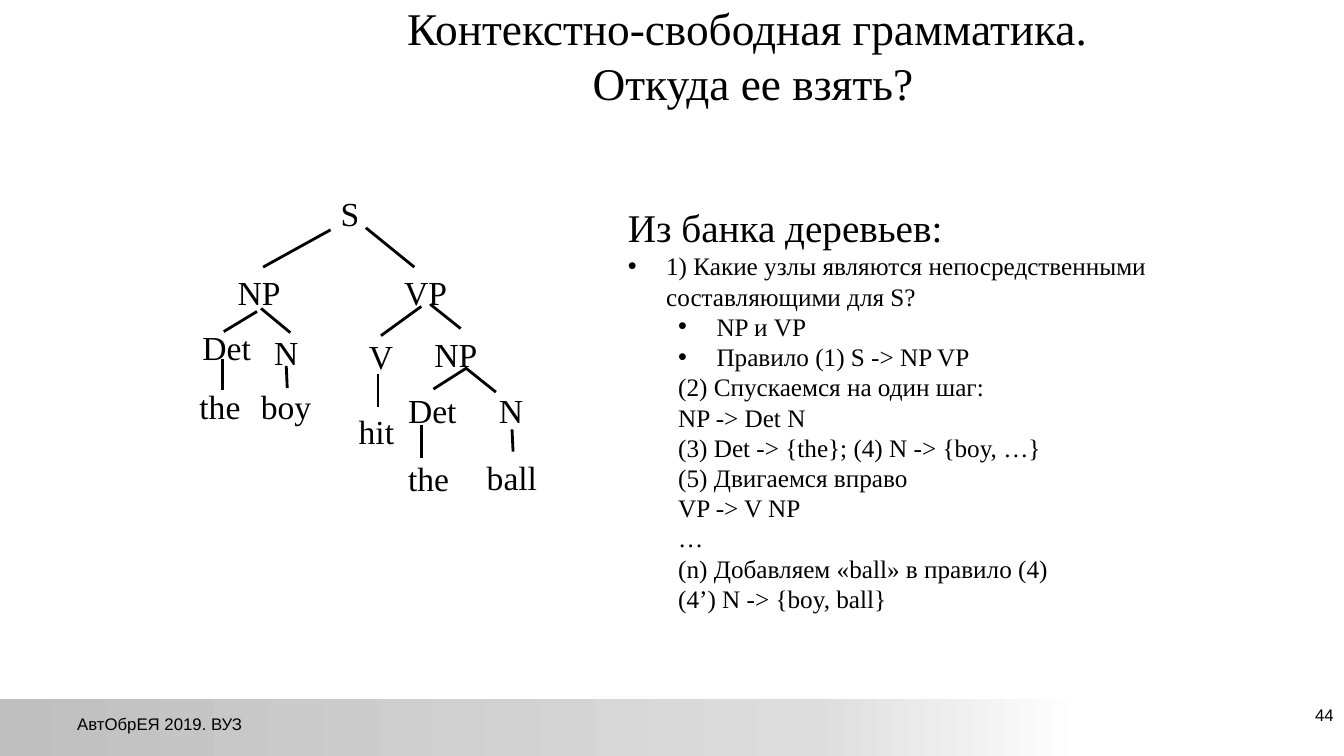
import pptx
import pptx.util
import pptx.dml.color
import pptx.enum.shapes
import pptx.enum.text
from lxml import etree
from pptx.oxml.ns import qn

BLACK = pptx.dml.color.RGBColor(0x00, 0x00, 0x00)
GREY = pptx.dml.color.RGBColor(0xBF, 0xBF, 0xBF)
WHITE = pptx.dml.color.RGBColor(0xFF, 0xFF, 0xFF)
SERIF, SANS = "Times New Roman", "Arial"
LEFT, CENTER, RIGHT = (pptx.enum.text.PP_ALIGN.LEFT, pptx.enum.text.PP_ALIGN.CENTER,
                       pptx.enum.text.PP_ALIGN.RIGHT)
TOP, MIDDLE = pptx.enum.text.MSO_ANCHOR.TOP, pptx.enum.text.MSO_ANCHOR.MIDDLE

deck = pptx.Presentation()
deck.slide_width = pptx.util.Inches(13.333)
deck.slide_height = pptx.util.Inches(7.5)
slide = deck.slides.add_slide(deck.slide_layouts[6])

# Grid of 40 columns and 30 rows
COL = deck.slide_width / 40
ROW = deck.slide_height / 30


def cells(col, row, *rest):
    """Turn alternating columns and rows into slide lengths."""
    return [int(n * (ROW if i % 2 else COL)) for i, n in enumerate((col, row) + rest)]


def write(box, text, size, font=SERIF, align=LEFT, anchor=TOP):
    """Add a text box in one style and return its text frame."""
    frame = slide.shapes.add_textbox(*cells(*box)).text_frame
    frame.word_wrap = True
    frame.vertical_anchor = anchor
    frame.text = text
    for paragraph in frame.paragraphs:
        paragraph.alignment = align
        for run in paragraph.runs:
            run.font.name = font
            run.font.size = pptx.util.Pt(size)
            run.font.color.rgb = BLACK
    return frame


# Footer band, fading to the right
band = slide.shapes.add_shape(pptx.enum.shapes.MSO_SHAPE.RECTANGLE,
                              *cells(-0.09, 27.72, 32.37, 2.32))
band.shadow.inherit = False
band.line.fill.background()
band.fill.gradient()
band.fill.gradient_angle = 0
first, last = band.fill.gradient_stops
first.color.rgb, first.position = GREY, 0
last.color.rgb, last.position = WHITE, 1
stops = band.fill._fill._gradFill.find(qn("a:gsLst"))
middle_stop = etree.Element(qn("a:gs"), pos="75000")
etree.SubElement(middle_stop, qn("a:srgbClr"), val="DDDDDD")
stops.insert(1, middle_stop)

# Title, footer and slide number
write((8.91, -0.32, 27, 5), "Контекстно-свободная грамматика. \vОткуда ее взять?", 32.4,
      align=CENTER, anchor=MIDDLE)
write((30.66, 27.32, 9.33, 2.08), "44", 12, SANS, RIGHT, MIDDLE)
write((0, 27.68, 9.51, 2.08), "АвтОбрЕЯ 2019. ВУЗ", 12, SANS, CENTER, MIDDLE)

# Steps of reading the grammar: text, level, left margin in inches, bullet
steps = [
    ("Из банка деревьев:", 0, 0, False),
    ("1) Какие узлы являются непосредственными составляющими для S?", 0, 0.38, True),
    ("NP и VP", 1, 0.88, True),
    ("Правило (1) S -> NP VP", 1, 0.88, True),
    ("(2) Спускаемся на один шаг:", 1, 0.5, False),
    ("NP -> Det N", 1, 0.5, False),
    ("(3) Det -> {the}; (4) N -> {boy, …}", 1, 0.5, False),
    ("(5) Двигаемся вправо", 1, 0.5, False),
    ("VP -> V NP", 1, 0.5, False),
    ("…", 1, 0.5, False),
    ("(n) Добавляем «ball» в правило (4)", 1, 0.5, False),
    ("(4’) N -> {boy, ball}", 1, 0.5, False),
]
derivation = write((18.39, 7.88, 16.83, 16.84), "\n".join(s[0] for s in steps), 18)
derivation.paragraphs[0].runs[0].font.size = pptx.util.Pt(28)
for paragraph, (_, level, margin, bulleted) in zip(derivation.paragraphs, steps):
    paragraph.level = level
    properties = paragraph._p.get_or_add_pPr()
    properties.set("marL", str(pptx.util.Inches(margin)))
    properties.set("indent", str(pptx.util.Inches(-0.38 if bulleted else 0)))
    if bulleted:
        etree.SubElement(properties, qn("a:buFont"), typeface=SANS)
        etree.SubElement(properties, qn("a:buChar"), char="•")
    else:
        etree.SubElement(properties, qn("a:buNone"))

# Parse tree nodes: label, column, row, width in columns
nodes = [
    ("S", 9.84, 7.44, 1.41),
    ("NP", 6.78, 10.6, 2.13), ("VP", 11.73, 10.6, 2.13),
    ("Det", 5.73, 12.76, 2.13), ("N", 7.86, 12.96, 1.77),
    ("V", 10.68, 13.12, 2.13), ("NP", 12.63, 13.04, 2.13),
    ("the", 5.64, 15.12, 2.25), ("boy", 7.47, 15.12, 2.19),
    ("hit", 10.38, 16.12, 3.3),
    ("Det", 11.85, 15.28, 2.13), ("N", 14.55, 15.28, 1.77),
    ("the", 11.85, 17.96, 2.25), ("ball", 14.19, 17.92, 2.13),
]
for label, col, row, width in nodes:
    write((col, row, width, 2.04), label, 24)

# Parse tree branches: from column and row, to column and row
branches = [
    (9.84, 9.12, 7.83, 10.6), (10.89, 9.04, 12.33, 10.6),        # S -> NP VP
    (7.65, 12.36, 6.66, 13.16), (7.77, 12.24, 8.64, 13.2),       # NP -> Det N
    (12.54, 12.16, 11.34, 13.32), (12.81, 12.08, 13.71, 13.04),  # VP -> V NP
    (13.89, 14.6, 12.9, 15.44), (13.86, 14.6, 14.76, 15.56),     # NP -> Det N
    (6.63, 14.24, 6.63, 15.48), (8.52, 14.52, 8.55, 15.4),       # the, boy
    (11.25, 14.84, 11.25, 16.16),                                # hit
    (12.54, 16.88, 12.54, 18.16), (15.24, 17.04, 15.27, 17.92),  # the, ball
]
for ends in branches:
    branch = slide.shapes.add_connector(pptx.enum.shapes.MSO_CONNECTOR.STRAIGHT, *cells(*ends))
    branch.line.color.rgb = BLACK
    branch.line.width = pptx.util.Pt(2)
    etree.SubElement(branch._element.spPr, qn("a:effectLst"))

deck.save("out.pptx")
